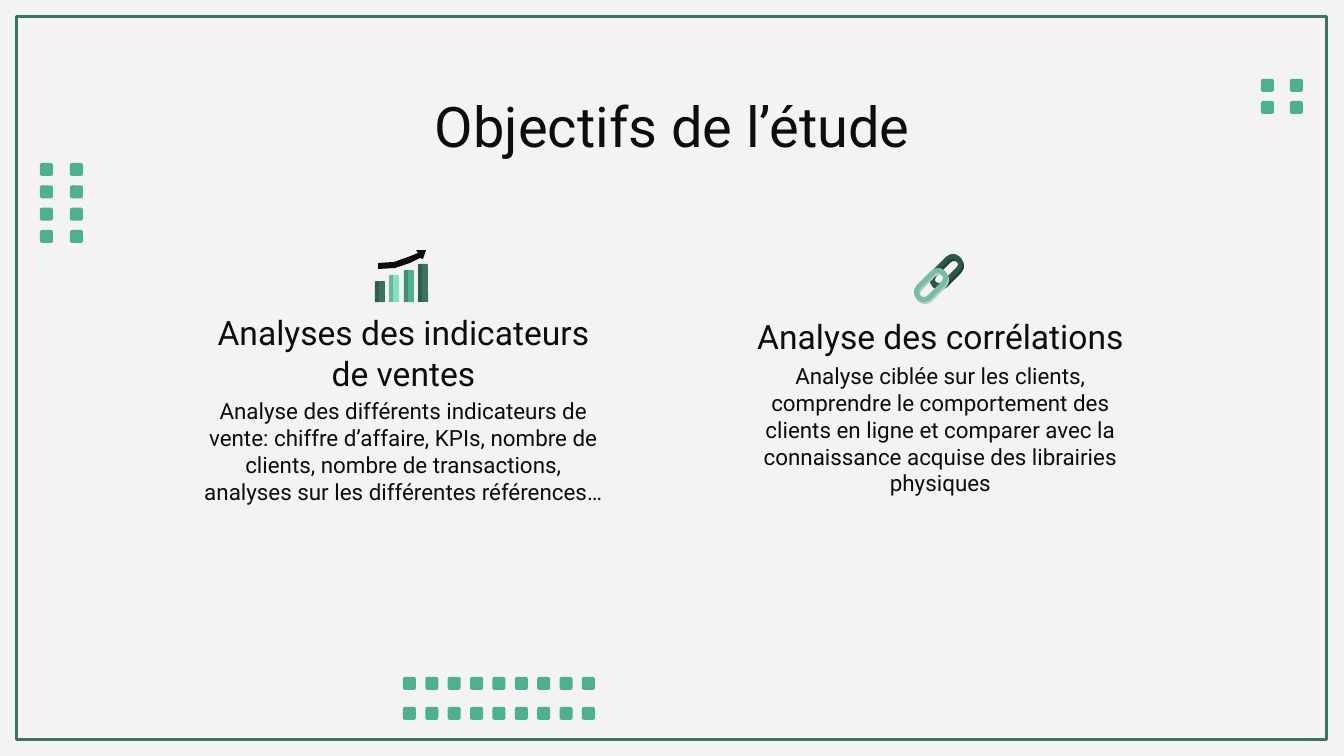
from lxml import etree
from pptx import Presentation
from pptx.dml.color import RGBColor
from pptx.enum.shapes import MSO_SHAPE
from pptx.enum.text import MSO_ANCHOR, PP_ALIGN
from pptx.oxml.ns import qn
from pptx.util import Emu, Pt

RECT, ROUNDED, BAR = MSO_SHAPE.RECTANGLE, MSO_SHAPE.ROUNDED_RECTANGLE, MSO_SHAPE.ROUND_2_SAME_RECTANGLE
TOP, BOTTOM, CENTER = MSO_ANCHOR.TOP, MSO_ANCHOR.BOTTOM, PP_ALIGN.CENTER

PAPER = RGBColor(0xF3, 0xF3, 0xF3)
INK = RGBColor(0x0D, 0x0D, 0x0D)
PINE = RGBColor(0x3C, 0x73, 0x5F)
GREEN = RGBColor(0x4C, 0xB1, 0x8C)
MINT = RGBColor(0x85, 0xE0, 0xBE)
DEEP = RGBColor(0x1E, 0x3A, 0x30)
FOREST = RGBColor(0x2D, 0x56, 0x47)
SAGE = RGBColor(0x7B, 0xBA, 0xA3)
PALE = RGBColor(0xA7, 0xD1, 0xC2)

FONT = "Roboto"
EMU_PER_PX = 914400 / 134.4

# Content
TITLE = "Objectifs de l’étude"
# left, heading top, body top, heading, body
OBJECTIVES = [
    (190, 339, 384, "Analyses des indicateurs de ventes",
     "Analyse des différents indicateurs de vente: chiffre d’affaire, KPIs, nombre de clients, "
     "nombre de transactions, analyses sur les différentes références…"),
    (727, 302, 349, "Analyse des corrélations",
     "Analyse ciblée sur les clients, comprendre le comportement des clients en ligne et "
     "comparer avec la connaissance acquise des librairies physiques"),
]

# Dot grids: first left, first top, columns, rows, last left, last top
DOT_SIZE = 13
DOT_GRIDS = [
    (403, 677, 9, 2, 582, 707),
    (40, 163, 2, 4, 70, 230),
    (1261, 79, 2, 2, 1290, 101),
]

# Growth icon: bar left, top, color
BARS_BOTTOM, BAR_WIDTH, SHADE_WIDTH = 302, 10, 4
BARS = [(375, 281, PINE), (389, 275, MINT), (404, 270, GREEN), (418, 264, PINE)]
TREND_ARROW = [(416, 250), (426, 250), (423, 259), (420, 258), (410, 263), (395, 268),
               (378, 269), (378, 263), (394, 262), (408, 257), (418, 253)]

# Chain icon: link center x, center y, color, shade color
LINK_LENGTH, LINK_WIDTH, LINK_LINE, SHADE_SHIFT = 35, 15, 5, 2
LINKS = [(946, 271, FOREST, DEEP), (931, 285, SAGE, PALE)]


def px(length):
    return Emu(round(length * EMU_PER_PX))


def paint(shape, fill=None, line=None, line_px=3, alpha=None):
    shape.shadow.inherit = False
    if fill is None:
        shape.fill.background()
    else:
        shape.fill.solid()
        shape.fill.fore_color.rgb = fill
    if alpha is not None:
        color = shape.fill._xPr.find(".//" + qn("a:srgbClr"))
        etree.SubElement(color, qn("a:alpha"), val=str(alpha * 1000))
    if line is None:
        shape.line.fill.background()
    else:
        shape.line.color.rgb = line
        shape.line.width = px(line_px)


def add_preset(slide, kind, box, corner=None, rotation=0, **look):
    shape = slide.shapes.add_shape(kind, *map(px, box))
    shape.rotation = rotation
    if corner is not None:
        shape.adjustments[0] = corner
    paint(shape, **look)


def add_text(slide, text, box, size, anchor=TOP):
    frame = slide.shapes.add_textbox(*map(px, box)).text_frame
    frame.word_wrap = True
    frame.vertical_anchor = anchor
    frame.margin_left = frame.margin_right = frame.margin_top = frame.margin_bottom = px(13)
    paragraph = frame.paragraphs[0]
    paragraph.alignment = CENTER
    run = paragraph.add_run()
    run.text = text
    run.font.name, run.font.size, run.font.color.rgb = FONT, Pt(size), INK


def main():
    deck = Presentation()
    deck.slide_width, deck.slide_height = px(1344), px(756)
    slide = deck.slides.add_slide(deck.slide_layouts[6])
    slide.background.fill.solid()
    slide.background.fill.fore_color.rgb = PAPER

    # Frame and dots
    add_preset(slide, RECT, (17, 17, 1310, 723), line=PINE)
    for left, top, columns, rows, last_left, last_top in DOT_GRIDS:
        step_x, step_y = (last_left - left) / (columns - 1), (last_top - top) / (rows - 1)
        for column in range(columns):
            for row in range(rows):
                box = (left + column * step_x, top + row * step_y, DOT_SIZE, DOT_SIZE)
                add_preset(slide, ROUNDED, box, corner=0.17, fill=GREEN)

    # Title and objectives
    add_text(slide, TITLE, (106, 79, 1133, 85), 30)
    for left, heading_top, body_top, heading, body in OBJECTIVES:
        add_text(slide, body, (left, body_top, 427, 188), 12)
        add_text(slide, heading, (left, heading_top, 427, 67), 18, anchor=BOTTOM)

    # Growth icon
    for left, top, color in BARS:
        height = BARS_BOTTOM - top
        add_preset(slide, BAR, (left, top, BAR_WIDTH, height), corner=0.15, fill=color)
        add_preset(slide, BAR, (left, top, SHADE_WIDTH, height), corner=0.3, fill=INK, alpha=20)
    start, *rest = [(px(x), px(y)) for x, y in TREND_ARROW]
    trend = slide.shapes.build_freeform(*start)
    trend.add_line_segments(rest, close=True)
    paint(trend.convert_to_shape(), fill=INK)

    # Chain icon, each link over its shade
    for center_x, center_y, color, shade in LINKS:
        left, top = center_x - LINK_LENGTH / 2, center_y - LINK_WIDTH / 2
        for shift, tone in ((SHADE_SHIFT, shade), (0, color)):
            add_preset(slide, ROUNDED, (left + shift / 2, top + shift, LINK_LENGTH, LINK_WIDTH),
                       corner=0.5, rotation=-45, line=tone, line_px=LINK_LINE)

    deck.save("out.pptx")


if __name__ == "__main__":
    main()
